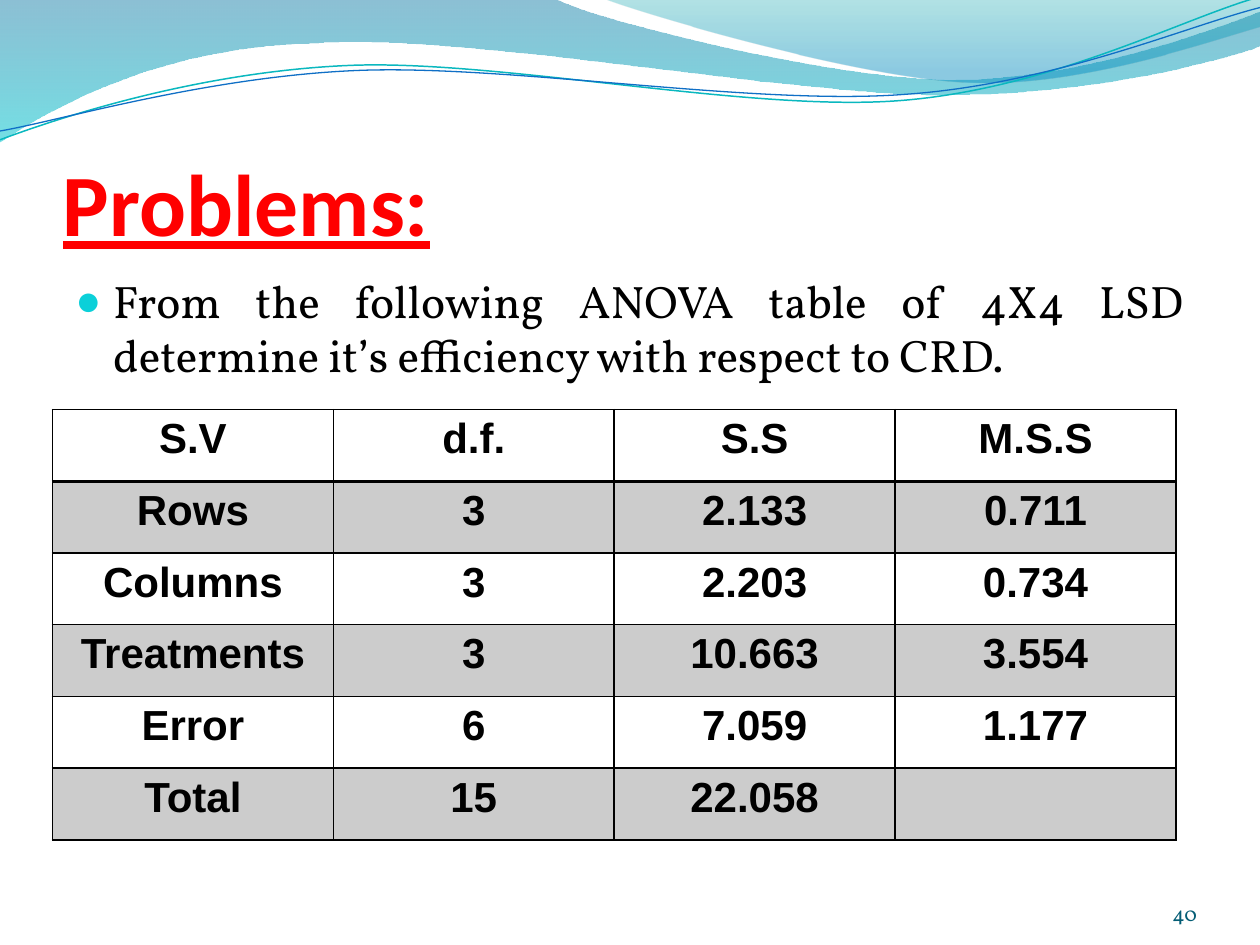
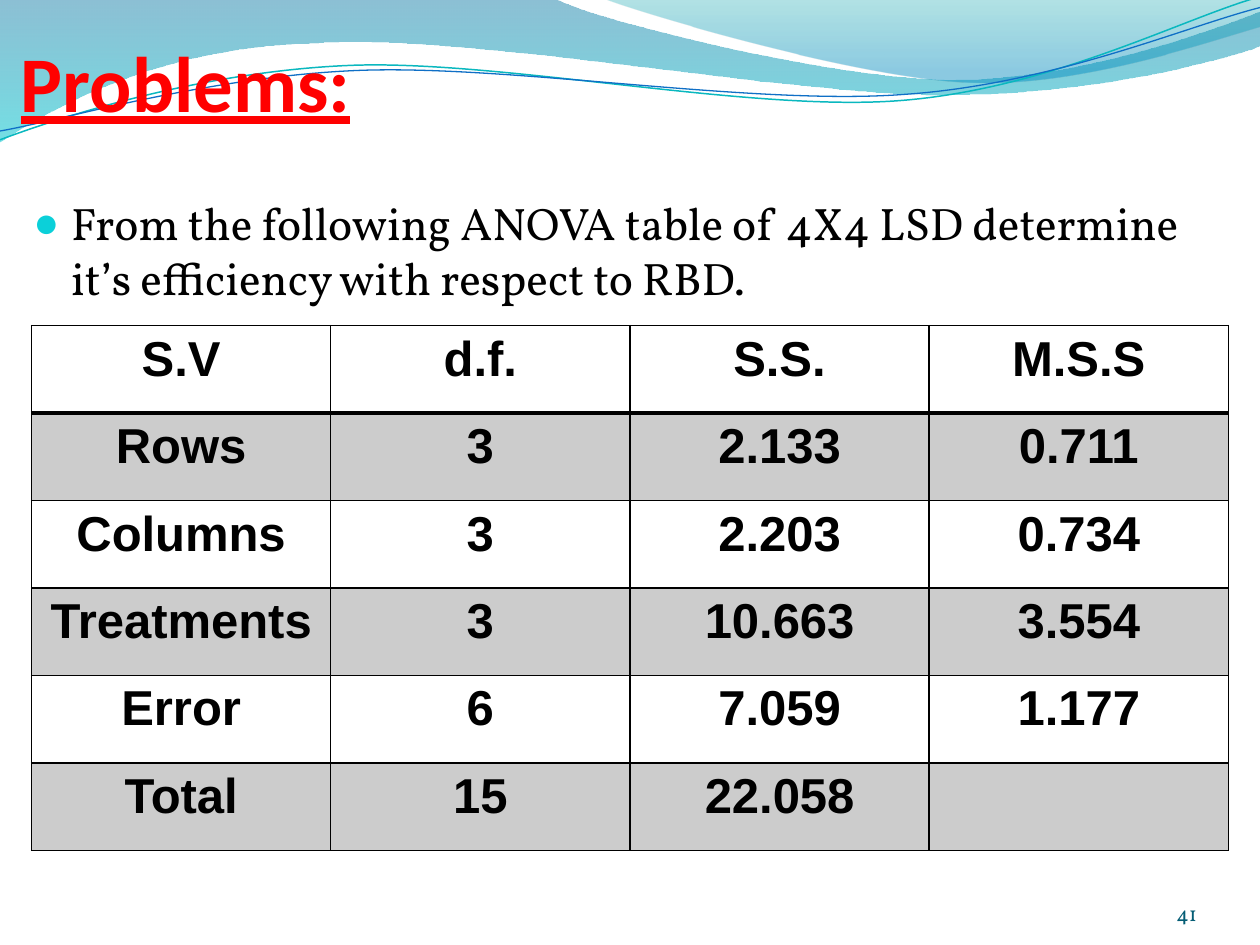
from dataclasses import dataclass

from lxml import etree
from pptx import Presentation
from pptx.dml.color import RGBColor
from pptx.enum.text import MSO_ANCHOR, PP_ALIGN
from pptx.oxml.ns import qn
from pptx.util import Emu, Inches, Pt

LEFT, RIGHT = PP_ALIGN.LEFT, PP_ALIGN.RIGHT
MID, JUST = PP_ALIGN.CENTER, PP_ALIGN.JUSTIFY
TOP, BASE = MSO_ANCHOR.TOP, MSO_ANCHOR.BOTTOM

# Grid of 120 columns by 90 rows; waves use tenths of the width
WIDTH, HEIGHT = Inches(10), Inches(7.5)
COL, ROW, TENTH = WIDTH / 120, HEIGHT / 90, WIDTH / 10

HUES = {
    "title": "FF0000", "ink": "000000", "page": "045D75", "dot": "0BD0D9",
    "sea": "0074A1", "foam": "00C6CF", "mint": "00A1A9", "sky": "008BBF",
    "teal": "0AB8BF", "blue": "0F6FC6",
}
BODY, HEAD, CELL = "Vollkorn", "Calibri", "Arial"


@dataclass
class Box:
    left: float
    top: float
    wide: float
    high: float

    def place(self) -> tuple[Emu, ...]:
        return (Emu(round(self.left * COL)), Emu(round(self.top * ROW)),
                Emu(round(self.wide * COL)), Emu(round(self.high * ROW)))


@dataclass
class Pad:
    side: float = 0
    top: float = 0
    foot: float = 0


@dataclass
class Style:
    face: str
    size: float
    hue: str
    bold: bool = False
    under: bool = False


@dataclass
class Stop:
    place: float
    hue: str
    alpha: int


@dataclass
class Wave:
    """Start point, then steps: two numbers for a line, six for a curve."""
    start: tuple[float, float]
    steps: list[tuple[float, ...]]
    stops: tuple[Stop, ...] = ()
    hue: str = ""
    weight: float = 0


@dataclass
class Problem:
    rival: str
    page: int
    title: Box
    size: int
    body: Box
    align: PP_ALIGN
    grid: Box
    text: int
    sums: str


WAVES = [
    Wave((0, 0), [
        (4.4, -0.01), (4.76, 0.17, 6.64, 0.63, 7.58, 0.63),
        (8.53, 0.63, 9.58, 0.26, 10, 0.09), (10.01, 0.36),
        (9.83, 0.44, 8.7, 0.76, 7.46, 0.75),
        (6.22, 0.75, 3.82, 0.28, 2.57, 0.34),
        (1.29, 0.36, 0.46, 0.83, -0.01, 1.13), (0, 0)],
        (Stop(0, "sea", 45), Stop(1, "foam", 55))),
    Wave((4.79, -0.01), [
        (5.09, 0.11, 6.82, 0.62, 7.69, 0.65),
        (8.56, 0.69, 9.61, 0.32, 10, 0.21), (10, 0), (4.79, -0.01)],
        (Stop(0, "mint", 30), Stop(0.8, "sky", 45))),
    Wave((0, 1.11), [
        (0.48, 0.93, 1.58, 0.57, 2.77, 0.52),
        (3.95, 0.47, 5.93, 0.89, 7.13, 0.8),
        (8.33, 0.71, 9.38, 0.15, 9.98, -0.02)], hue="teal", weight=0.85),
    Wave((0, 1.04), [
        (0.47, 0.96, 1.64, 0.61, 2.83, 0.56),
        (4.03, 0.51, 5.97, 0.84, 7.17, 0.75),
        (8.36, 0.67, 9.41, 0.21, 10, 0.06)], hue="blue", weight=0.75),
]

DATA = [
    ("Rows", "3", "2.133", "0.711"),
    ("Columns", "3", "2.203", "0.734"),
    ("Treatments", "3", "10.663", "3.554"),
    ("Error", "6", "7.059", "1.177"),
    ("Total", "15", "22.058", ""),
]

PAGE = Box(104, 83.4, 10, 4.8)
PROBLEMS = [
    Problem("CRD", 40, Box(6, 9.2, 108, 15), 50, Box(6, 25.4, 108, 57.6),
            JUST, Box(5, 39, 107, 41), 24, "S.S"),
    Problem("RBD", 41, Box(2, 2, 108, 10.2), 45, Box(2, 18, 115, 69),
            LEFT, Box(3, 31, 114, 50), 28, "S.S."),
]


def tint(name: str) -> RGBColor:
    return RGBColor.from_string(HUES[name])


def node(parent, tag: str, **keys):
    return etree.SubElement(parent, qn(tag), keys)


def fade(color, alpha: int) -> None:
    node(color, "a:alpha", val=str(alpha * 1000))


# Waves
def bend(shape, steps: list[tuple[float, ...]]) -> None:
    """Join the three points of each curve step into one Bezier curve."""
    lines = iter(list(shape._element.spPr.iter(qn("a:lnTo"))))
    for step in steps:
        first = next(lines)
        if len(step) == 6:
            first.tag = qn("a:cubicBezTo")
            for line in (next(lines), next(lines)):
                first.append(line[0])
                line.getparent().remove(line)


def draw_wave(slide, wave: Wave) -> None:
    spots = [(step[i] * TENTH, step[i + 1] * TENTH)
             for step in wave.steps for i in range(0, len(step), 2)]
    x, y = wave.start
    maker = slide.shapes.build_freeform(x * TENTH, y * TENTH)
    maker.add_line_segments(spots, close=bool(wave.stops))
    shape = maker.convert_to_shape()
    bend(shape, wave.steps)
    shape.shadow.inherit = False
    if not wave.stops:
        shape.fill.background()
        shape.line.color.rgb = tint(wave.hue)
        shape.line.width = Pt(wave.weight)
        return
    shape.line.fill.background()
    shape.fill.gradient()
    shape.fill.gradient_angle = 270
    for mark, stop in zip(shape.fill.gradient_stops, wave.stops):
        mark.position = stop.place
        mark.color.rgb = tint(stop.hue)
    colors = shape._element.spPr.iter(qn("a:srgbClr"))
    for color, stop in zip(list(colors), wave.stops):
        fade(color, stop.alpha)


# Text
def dress(para, style: Style, align: PP_ALIGN) -> None:
    para.alignment = align
    for run in para.runs:
        font = run.font
        font.name, font.size = style.face, Pt(style.size)
        font.bold, font.underline = style.bold, style.under
        font.color.rgb = tint(style.hue)


def add_dot(para) -> None:
    props = para._p.get_or_add_pPr()
    props.set("marL", str(Inches(0.3)))
    props.set("indent", str(-Inches(0.3)))
    node(node(props, "a:buClr"), "a:srgbClr", val=HUES["dot"])
    node(props, "a:buSzPct", val="95000")
    node(props, "a:buFont", typeface=CELL)
    node(props, "a:buChar", char="●")


def add_text(slide, box: Box, text: str, style: Style, align: PP_ALIGN,
             pad: Pad, anchor: MSO_ANCHOR = BASE, dot: bool = False) -> None:
    frame = slide.shapes.add_textbox(*box.place()).text_frame
    frame.word_wrap = True
    frame.vertical_anchor = anchor
    frame.margin_left = frame.margin_right = Inches(pad.side)
    frame.margin_top = Inches(pad.top)
    frame.margin_bottom = Inches(pad.foot)
    frame.text = text
    para = frame.paragraphs[0]
    if dot:
        add_dot(para)
    dress(para, style, align)


# Table
def rule_cell(cell, row: int) -> None:
    props = cell._tc.get_or_add_tcPr()
    thick = {"T": row == 1, "B": row == 0}
    for side in "LRTB":
        width = Pt(2 if thick.get(side) else 1)
        line = node(props, "a:ln" + side, w=str(width))
        node(node(line, "a:solidFill"), "a:srgbClr", val=HUES["ink"])


def add_grid(slide, problem: Problem) -> None:
    rows = [("S.V", "d.f.", problem.sums, "M.S.S"), *DATA]
    frame = slide.shapes.add_table(len(rows), len(rows[0]),
                                   *problem.grid.place())
    table = frame.table
    table.first_row = table.horz_banding = False
    style = Style(CELL, problem.text, "ink", bold=True)
    for r, row in enumerate(rows):
        for c, text in enumerate(row):
            cell = table.cell(r, c)
            cell.text_frame.text = text
            dress(cell.text_frame.paragraphs[0], style, MID)
            rule_cell(cell, r)
            if r % 2:
                cell.fill.solid()
                cell.fill.fore_color.rgb = tint("ink")
                fade(cell._tc.tcPr.find(
                    qn("a:solidFill")).find(qn("a:srgbClr")), 20)
            else:
                cell.fill.background()


def add_problem(deck, problem: Problem) -> None:
    slide = deck.slides.add_slide(deck.slide_layouts[6])
    for wave in WAVES:
        draw_wave(slide, wave)
    add_text(slide, problem.title, "Problems:",
             Style(HEAD, problem.size, "title", True, True), LEFT,
             Pad(top=0.05))
    add_text(slide, problem.body,
             "From the following ANOVA table of 4X4 LSD determine "
             f"it’s efficiency with respect to {problem.rival}.",
             Style(BODY, 26, "ink"), problem.align, Pad(0.1, 0.05, 0.05),
             TOP, dot=True)
    add_text(slide, PAGE, str(problem.page), Style(BODY, 12, "page"), RIGHT,
             Pad())
    add_grid(slide, problem)


def main() -> None:
    deck = Presentation()
    deck.slide_width, deck.slide_height = WIDTH, HEIGHT
    for problem in PROBLEMS:
        add_problem(deck, problem)
    deck.save("out.pptx")


if __name__ == "__main__":
    main()
